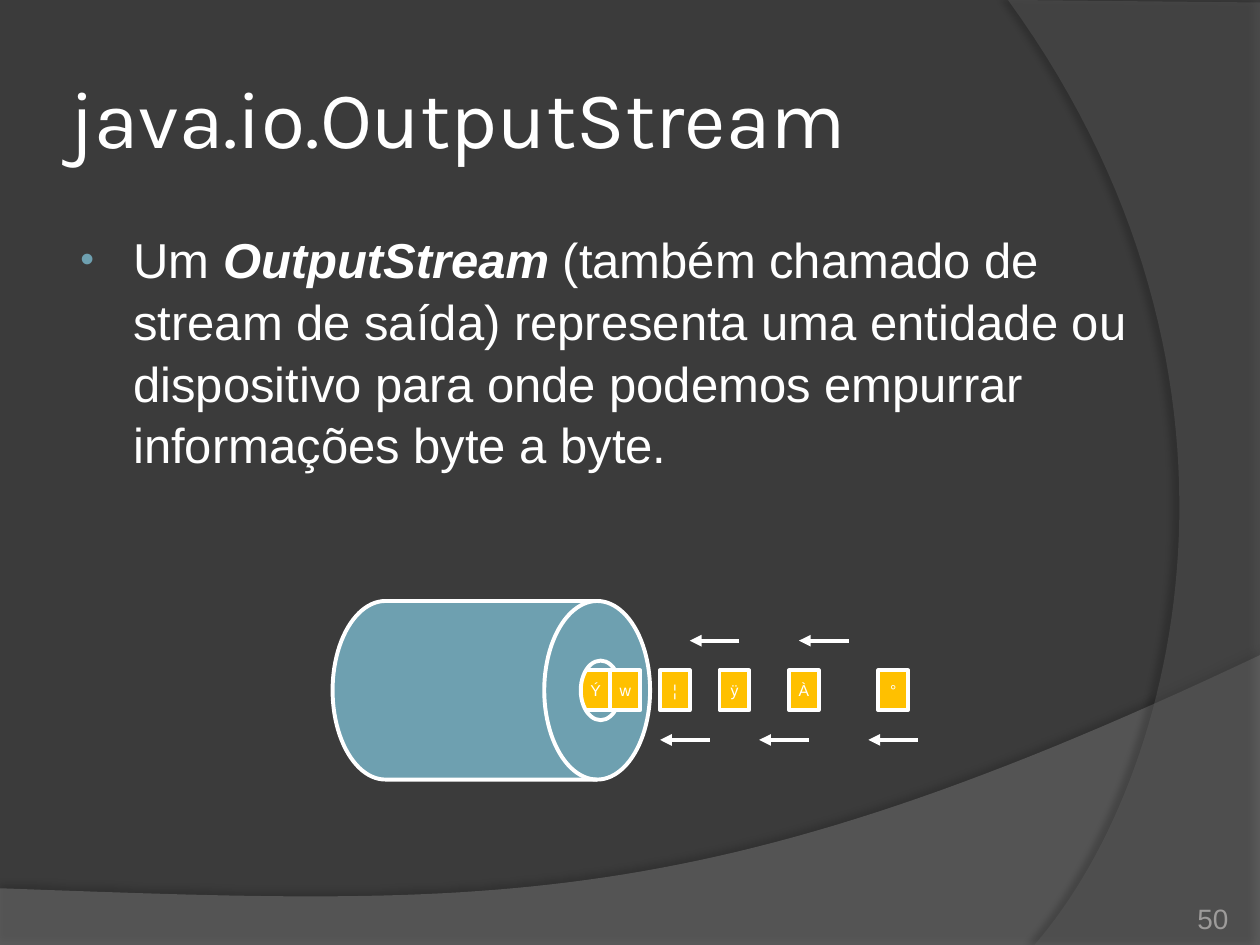
from lxml import etree
from pptx import Presentation
from pptx import util as u
from pptx.dml.color import RGBColor
from pptx.enum import shapes, text
from pptx.oxml import ns

COLORS = {
    "background": "3B3B3B", "lower_wave": "7F7F7F", "right_wave": "5E5E5E",
    "white": "FFFFFF", "steel": "6EA0B0", "amber": "FFC000",
    "gray": "9D9B9A", "shadow": "000000",
}
WIDTH, HEIGHT = u.Inches(10), u.Inches(7.5)

# The stream diagram lies on a 2 mm grid that starts at the drum's corner
CELL = u.Cm(0.2)
DIAGRAM_LEFT, DIAGRAM_TOP = u.Inches(2.64), u.Inches(4.77)
BOX_ROW = 7
OUTSIDE_BYTES = [("¦", 33), ("ÿ", 39), ("À", 46), ("°", 55)]
INSIDE_BYTES = [("Ý", 25), ("w", 28)]
ARROW_LENGTH = 5
ARROW_STARTS = [(41, 4), (38, 14), (52, 4), (59, 14), (48, 14)]


def color(name):
    return RGBColor.from_string(COLORS[name])


def share(x, y):
    """Turn percentages of the slide's size into a point."""
    return round(WIDTH * x / 100), round(HEIGHT * y / 100)


def grid(column, row):
    """Turn a diagram column and row into a point."""
    return DIAGRAM_LEFT + column * CELL, DIAGRAM_TOP + row * CELL


def add_element(parent, tag, **attributes):
    element = etree.SubElement(parent, ns.qn(tag))
    for name, value in attributes.items():
        element.set(name, str(value))
    return element


def write(shape, *runs, font="Arial", size=28, fill="white", insets=(0.1, 0.05),
          align=text.PP_ALIGN.LEFT, anchor=text.MSO_ANCHOR.TOP,
          spacing=None, bullet=None):
    """Write runs, each a string or a (string, emphasis) pair, in one paragraph."""
    frame = shape.text_frame
    frame.word_wrap = True
    frame.vertical_anchor = anchor
    frame.margin_left = frame.margin_right = u.Inches(insets[0])
    frame.margin_top = frame.margin_bottom = u.Inches(insets[1])
    paragraph = frame.paragraphs[0]
    paragraph.alignment = align
    if spacing:
        paragraph.line_spacing = spacing
    if bullet:
        add_bullet(paragraph, bullet)
    for item in runs:
        wording, emphasis = item if isinstance(item, tuple) else (item, False)
        run = paragraph.add_run()
        run.text = wording
        run.font.name, run.font.size = font, u.Pt(size)
        run.font.bold = run.font.italic = emphasis
        run.font.color.rgb = color(fill)


def add_bullet(paragraph, character):
    properties = paragraph._p.get_or_add_pPr()
    properties.set("marL", str(u.Inches(0.46)))
    properties.set("indent", str(u.Inches(-0.42)))
    bullet_color = add_element(properties, "a:buClr")
    add_element(bullet_color, "a:srgbClr", val=COLORS["steel"])
    add_element(properties, "a:buSzPct", val=80000)
    add_element(properties, "a:buFont", typeface="Arial")
    add_element(properties, "a:buChar", char=character)


def add_text(slide, x, y, width, height, *runs, **style):
    box = slide.shapes.add_textbox(*share(x, y), *share(width, height))
    write(box, *runs, **style)


def curve(start, first, second, end, steps=60):
    """Return points along a cubic curve, without its start."""
    points = []
    for step in range(1, steps + 1):
        t = step / steps
        weights = ((1 - t) ** 3, 3 * t * (1 - t) ** 2, 3 * t ** 2 * (1 - t), t ** 3)
        corners = (start, first, second, end)
        points.append(tuple(sum(w * corner[axis] for w, corner in zip(weights, corners))
                            for axis in (0, 1)))
    return points


def add_wave(slide, points, fill, opacity, shadow_opacity, distance, direction):
    builder = slide.shapes.build_freeform(*share(*points[0]))
    builder.add_line_segments([share(*point) for point in points[1:]])
    wave = builder.convert_to_shape()
    wave.fill.solid()
    wave.fill.fore_color.rgb = color(fill)
    wave.line.fill.background()
    properties = wave._element.spPr
    fill_color = properties.find(".//" + ns.qn("a:srgbClr"))
    add_element(fill_color, "a:alpha", val=opacity * 1000)
    effects = add_element(properties, "a:effectLst")
    shadow = add_element(effects, "a:outerShdw", blurRad=u.Pt(4), dist=u.Pt(distance),
                         dir=direction * 60000, rotWithShape=0)
    shadow_color = add_element(shadow, "a:srgbClr", val=COLORS["shadow"])
    add_element(shadow_color, "a:alpha", val=shadow_opacity * 1000)


def add_part(slide, kind, column, row, columns, rows, fill=None, outlined=True, rotation=0):
    part = slide.shapes.add_shape(kind, *grid(column, row), columns * CELL, rows * CELL)
    part.shadow.inherit = False
    part.rotation = rotation
    if fill:
        part.fill.solid()
        part.fill.fore_color.rgb = color(fill)
    else:
        part.fill.background()
    if outlined:
        part.line.color.rgb = color("white")
        part.line.width = u.Pt(2.25)
    else:
        part.line.fill.background()
    return part


def add_byte(slide, character, column):
    box = add_part(slide, shapes.MSO_SHAPE.RECTANGLE, column, BOX_ROW, 3, 4, "amber")
    write(box, character, size=9, insets=(0, 0.05),
          align=text.PP_ALIGN.CENTER, anchor=text.MSO_ANCHOR.MIDDLE)


def add_arrow(slide, column, row):
    arrow = slide.shapes.add_connector(
        shapes.MSO_CONNECTOR.STRAIGHT, *grid(column, row), *grid(column - ARROW_LENGTH, row))
    arrow.line.color.rgb = color("white")
    arrow.line.width = u.Pt(2.25)
    add_element(arrow.line._get_or_add_ln(), "a:tailEnd", type="triangle")
    add_element(arrow._element.spPr, "a:effectLst")


def add_background(slide):
    slide.background.fill.solid()
    slide.background.fill.fore_color.rgb = color("background")
    lower = [(0, 94), (0, 100), (100, 100), (100, 69.33)]
    lower += curve(lower[-1], (55.9, 97.2), (39.1, 95.87), lower[0])
    add_wave(slide, lower, "lower_wave", 45, 35, 3.5, 270)
    right = [(100, 0.27), (100, 100), (82.1, 100)]
    right += curve(right[-1], (93.5, 82.53), (101.8, 40), (80, 0))
    add_wave(slide, right, "right_wave", 40, 45, 4, 180)


def add_diagram(slide):
    kinds = shapes.MSO_SHAPE
    for character, column in OUTSIDE_BYTES:
        add_byte(slide, character, column)
    add_part(slide, kinds.FLOWCHART_DIRECT_ACCESS_STORAGE, 0, 0, 32, 18, "steel")
    for character, column in INSIDE_BYTES:
        add_byte(slide, character, column)
    # Drum opening: a mask over the first byte, then its rim
    add_part(slide, kinds.BLOCK_ARC, 22, 5, 10, 8, "steel", outlined=False, rotation=270)
    rim = add_part(slide, kinds.ARC, 25, 6, 4, 6, rotation=180)
    rim.adjustments[0], rim.adjustments[1] = 141.42, 75.39
    for column, row in ARROW_STARTS:
        add_arrow(slide, column, row)


def main():
    presentation = Presentation()
    presentation.slide_width, presentation.slide_height = WIDTH, HEIGHT
    slide = presentation.slides.add_slide(presentation.slide_layouts[6])
    add_background(slide)
    # Title, body and page number
    add_text(slide, 5, 4, 81.7, 16.67, "java.io.OutputStream", font="Karla", size=46,
             insets=(0.05, 0.05), anchor=text.MSO_ANCHOR.MIDDLE)
    add_text(slide, 5, 23.33, 89.9, 17.2, "Um ", ("OutputStream", True),
             " (também chamado de stream de saída) representa uma entidade ou "
             "dispositivo para onde podemos empurrar informações byte a byte.",
             spacing=1.05, bullet="•")
    add_text(slide, 89.2, 93.6, 8.3, 5.33, "50", size=16, fill="gray", insets=(0, 0),
             align=text.PP_ALIGN.RIGHT, anchor=text.MSO_ANCHOR.BOTTOM)
    add_diagram(slide)
    presentation.save("out.pptx")


if __name__ == "__main__":
    main()
